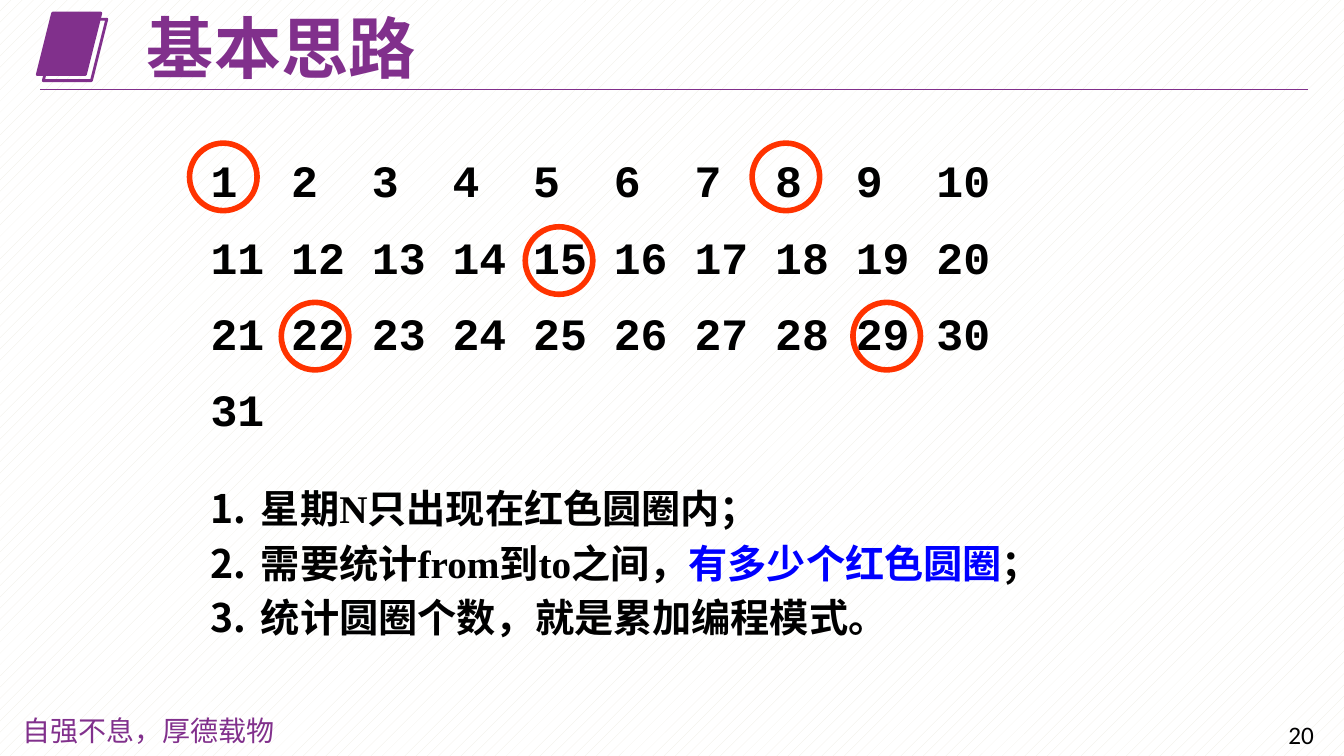
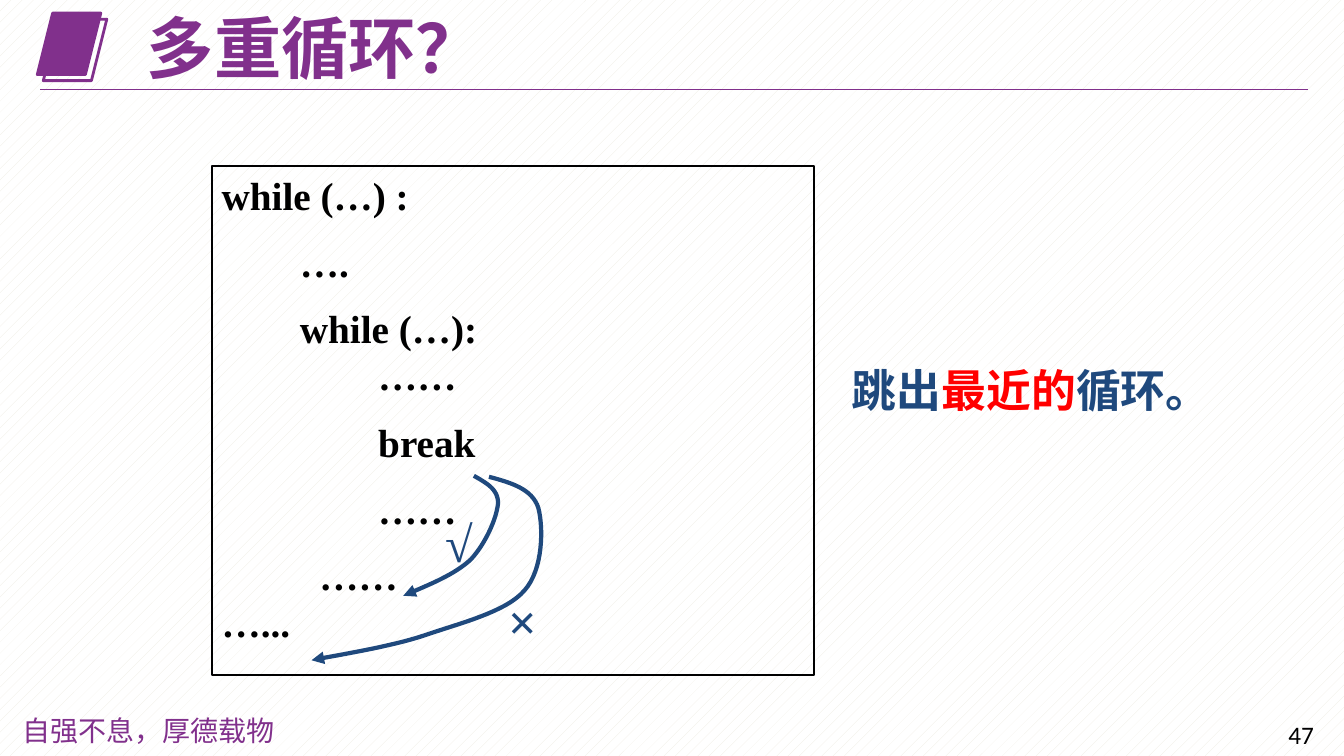
from lxml import etree
from pptx import Presentation
from pptx.dml.color import RGBColor
from pptx.enum import dml, shapes, text
from pptx.oxml.ns import qn
from pptx.util import Inches, Pt

PURPLE = RGBColor(0x81, 0x30, 0x8C)
BLACK = RGBColor(0, 0, 0)
WHITE = RGBColor(0xFF, 0xFF, 0xFF)
CREAM = RGBColor(0xEE, 0xEC, 0xE1)
ORANGE = RGBColor(0xFF, 0x33, 0x00)
RED = RGBColor(0xFF, 0, 0)
BLUE = RGBColor(0, 0, 0xFF)
NAVY = RGBColor(0x1F, 0x49, 0x7D)

HEI = "Noto Sans CJK SC"
SONG = "Noto Sans CJK JP"
SERIF = "Times New Roman"

TITLE = dict(name=HEI, size=Pt(48), bold=True, color=PURPLE)
MOTTO = dict(name=SONG, size=Pt(20), color=PURPLE)
PAGE = dict(name="Calibri", size=Pt(18), color=BLACK)
DAYS = dict(name="Courier New", size=Pt(32), bold=True, color=BLACK)
BODY = dict(name=SERIF, size=Pt(28), bold=True, color=BLACK)
REMARK = dict(name=SERIF, size=Pt(32), bold=True, color=NAVY)
MARK = dict(name=SERIF, size=Pt(36), bold=True, color=NAVY)


def add_run(p, words, style, ea=None):
    r = p.add_run()
    r.text = words
    for key, value in style.items():
        if key == "color":
            r.font.color.rgb = value
        else:
            setattr(r.font, key, value)
    if ea:
        etree.SubElement(r.font._element, qn("a:ea"), typeface=ea)


def add_text(s, box, words, style, ea=None, **frame):
    sp = s.shapes.add_textbox(*map(Inches, box))
    tf = sp.text_frame
    tf.word_wrap = True
    for key, value in frame.items():
        setattr(tf, key, value)
    if words:
        add_run(tf.paragraphs[0], words, style, ea)
    return tf


def paragraphs(tf, items):
    for i, item in enumerate(items):
        yield (tf.add_paragraph() if i else tf.paragraphs[0]), item


def outline(sp, color, width, fill=None):
    sp.shadow.inherit = False
    if fill is None:
        sp.fill.background()
    else:
        sp.fill.solid()
        sp.fill.fore_color.rgb = fill
    sp.line.color.rgb = color
    sp.line.width = Pt(width)
    return sp


def add_outline(s, kind, box, color, width, fill=None):
    sp = s.shapes.add_shape(kind, *map(Inches, box))
    return outline(sp, color, width, fill)


def add_frame(prs, title, number):
    s = prs.slides.add_slide(prs.slide_layouts[6])
    fill = s.background.fill
    fill.patterned()
    fill.pattern = dml.MSO_PATTERN.PERCENT_10
    fill.fore_color.rgb = CREAM
    fill.back_color.rgb = WHITE

    middle = text.MSO_ANCHOR.MIDDLE
    add_text(s, (0.12, 7.03, 2.78, 0.44), "自强不息，厚德载物", MOTTO, SONG,
             vertical_anchor=middle)
    add_text(s, (12.68, 7.09, 0.61, 0.4), number, PAGE, vertical_anchor=middle)
    for x, y, color in ((0.37, 0.13, PURPLE), (0.43, 0.19, None)):
        add_outline(s, shapes.MSO_SHAPE.PARALLELOGRAM, (x, y, 0.63, 0.61),
                    PURPLE, 2, color)
    rule = s.shapes.add_connector(shapes.MSO_CONNECTOR.STRAIGHT,
                                  *map(Inches, (0.4, 0.89, 12.97, 0.89)))
    rule.line.color.rgb = PURPLE
    rule.line.width = Pt(0.75)
    etree.SubElement(rule._element.spPr, qn("a:effectLst"))
    tf = add_text(s, (1.36, 0.13, 7.34, 0.76), title, TITLE, HEI,
                  vertical_anchor=middle)
    tf.paragraphs[0].line_spacing = 0.9
    return s


def add_calendar(s, x, y):
    rows = [range(first, min(first + 10, 32)) for first in range(1, 32, 10)]
    tf = add_text(s, (x, y, 8.5, 3.03), "", DAYS)
    for p, days in paragraphs(tf, rows):
        if days[0] > 1:
            p.space_before = Pt(16)
        tabs = etree.SubElement(p._p.get_or_add_pPr(), qn("a:tabLst"))
        for col in range(1, 10):
            etree.SubElement(tabs, qn("a:tab"), pos=str(Inches(0.8 * col)),
                             algn="l")
        add_run(p, "\t".join(map(str, days)), DAYS)
    for dx, dy in ((-0.11, -0.05), (5.47, -0.05), (3.22, 0.78),
                   (0.8, 1.53), (6.47, 1.53)):
        add_outline(s, shapes.MSO_SHAPE.OVAL, (x + dx, y + dy, 0.67, 0.67),
                    ORANGE, 4)


def add_steps(s, box):
    steps = [
        [("星期N只出现在红色圆圈内；", BLACK)],
        [("需要统计from到to之间，", BLACK), ("有多少个红色圆圈", BLUE),
         ("；", BLACK)],
        [("统计圆圈个数，就是累加编程模式。", BLACK)],
    ]
    tf = add_text(s, box, "", BODY)
    for p, runs in paragraphs(tf, steps):
        p.line_spacing = Pt(39)
        pPr = p._p.get_or_add_pPr()
        pPr.set("marL", str(Inches(0.5)))
        pPr.set("indent", str(Inches(-0.5)))
        etree.SubElement(pPr, qn("a:buFont"), typeface=HEI)
        etree.SubElement(pPr, qn("a:buAutoNum"), type="arabicPeriod")
        for words, color in runs:
            add_run(p, words, {**BODY, "color": color}, HEI)


def add_code(s, box):
    code = [
        "while (…) :",
        "        ….",
        "        while (…):\n                ……",
        "                break",
        "                ……",
        "          ……\n…...",
    ]
    sp = add_outline(s, shapes.MSO_SHAPE.RECTANGLE, box, BLACK, 1.5)
    tf = sp.text_frame
    tf.word_wrap = True
    tf.vertical_anchor = text.MSO_ANCHOR.TOP
    tf.margin_top = Inches(0.05)
    for i, (p, block) in enumerate(paragraphs(tf, code)):
        p.alignment = text.PP_ALIGN.LEFT
        if i:
            p.space_before = Pt(14)
        for j, line in enumerate(block.split("\n")):
            if j:
                p.add_line_break()
            add_run(p, line, BODY)


def bezier(points, steps=16):
    curve = []
    for k in range(0, len(points) - 1, 3):
        a, b, c, d = points[k:k + 4]
        for i in range(1, steps + 1):
            t = i / steps
            v = 1 - t
            curve.append(tuple(
                v ** 3 * a[n] + 3 * v * v * t * b[n]
                + 3 * v * t * t * c[n] + t ** 3 * d[n] for n in (0, 1)))
    return curve


def add_jump(s, x, y, points, mark, mark_box):
    points = [(Inches(x + dx), Inches(y + dy)) for dx, dy in points]
    builder = s.shapes.build_freeform(*points[0], scale=1.0)
    builder.add_line_segments(bezier(points), close=False)
    sp = outline(builder.convert_to_shape(), NAVY, 3)
    ln = sp._element.spPr.get_or_add_ln()
    etree.SubElement(ln, qn("a:round"))
    etree.SubElement(ln, qn("a:tailEnd"), type="triangle")
    dx, dy, w, h = mark_box
    add_text(s, (x + dx, y + dy, w, h), mark, MARK)


def add_remark(s, box):
    p = add_text(s, box, "", REMARK).paragraphs[0]
    for words, color in (("跳出", NAVY), ("最近的", RED), ("循环。", NAVY)):
        add_run(p, words, {**REMARK, "color": color}, HEI)


def idea_slide(prs):
    s = add_frame(prs, "基本思路", "20")
    add_calendar(s, 1.99, 1.47)
    add_steps(s, (1.99, 4.68, 8.72, 1.69))


def loop_slide(prs):
    s = add_frame(prs, "多重循环？", "47")
    add_code(s, (2.1, 1.65, 5.97, 5.05))
    add_jump(s, 4, 4.72,
             [(0.7, 0), (0.82, 0.07), (0.94, 0.13), (0.94, 0.27),
              (0.93, 0.41), (0.82, 0.67), (0.67, 0.83),
              (0.51, 0.98), (0.26, 1.08), (0, 1.19)],
             "√", (0.32, 0.31, 0.6, 0.7))
    add_jump(s, 3.09, 4.73,
             [(1.76, 0), (1.98, 0.06), (2.19, 0.12), (2.25, 0.31),
              (2.3, 0.5), (2.3, 0.92), (2.11, 1.13),
              (1.93, 1.34), (1.48, 1.45), (1.13, 1.57),
              (0.78, 1.69), (0.19, 1.78), (0, 1.82)],
             "×", (1.86, 1.08, 0.6, 0.63))
    add_remark(s, (8.35, 3.55, 4, 0.74))


def main():
    prs = Presentation()
    prs.slide_width = Inches(13.33)
    prs.slide_height = Inches(7.5)
    idea_slide(prs)
    loop_slide(prs)
    prs.save("out.pptx")


if __name__ == "__main__":
    main()
